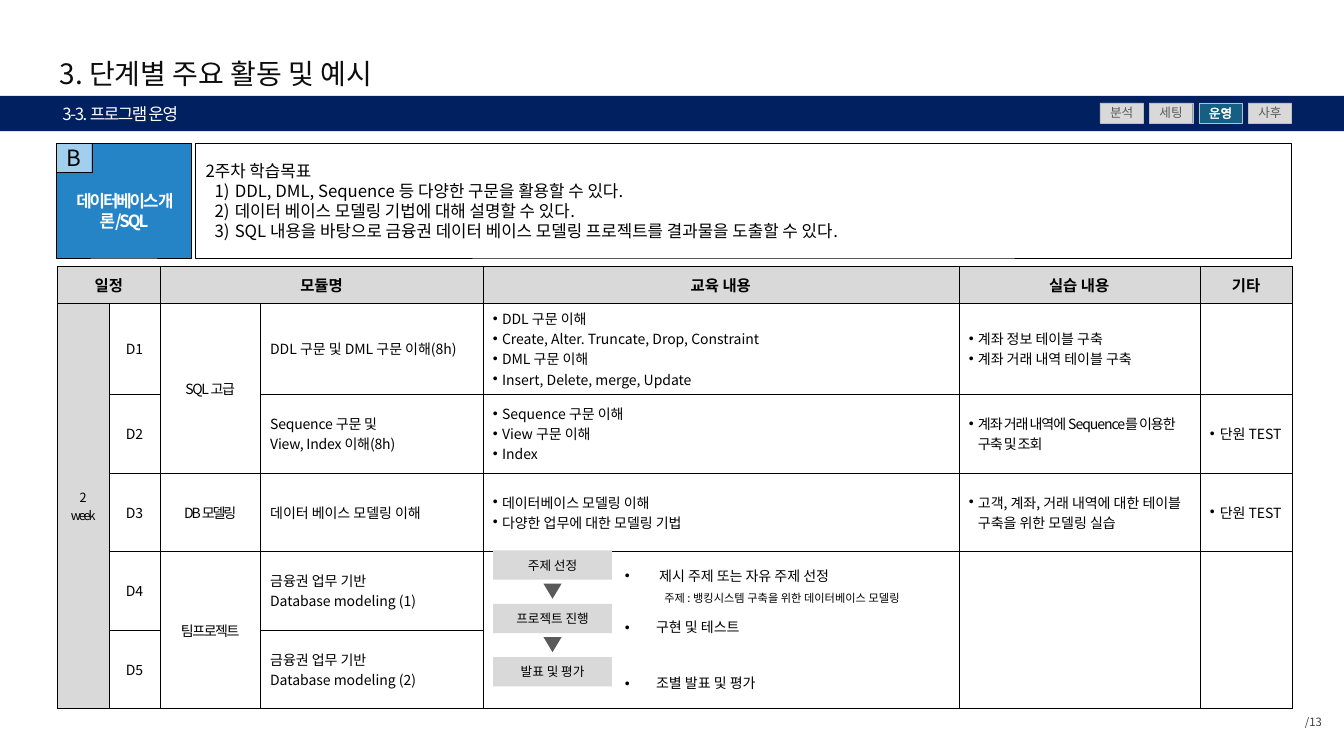
from dataclasses import dataclass, replace
from lxml import etree
from pptx import Presentation
from pptx.dml.color import RGBColor
from pptx.enum.shapes import MSO_SHAPE
from pptx.enum.text import MSO_ANCHOR, PP_ALIGN
from pptx.oxml.ns import qn
from pptx.util import Inches, Pt

FONT = "Noto Sans CJK KR"
LEFT, CENTER, RIGHT = PP_ALIGN.LEFT, PP_ALIGN.CENTER, PP_ALIGN.RIGHT
MIDDLE, TOP = MSO_ANCHOR.MIDDLE, MSO_ANCHOR.TOP
RECTANGLE, MERGE = MSO_SHAPE.RECTANGLE, MSO_SHAPE.FLOWCHART_MERGE
BLACK, WHITE, GRAY, DARK_GRAY = "000000", "FFFFFF", "D9D9D9", "595959"
BORDER_WIDTH = Pt(0.25)


@dataclass(frozen=True)
class Style:
    size: float
    color: str = BLACK
    align: PP_ALIGN = LEFT
    bold: bool = False
    spacing: float = 0
    margin: float = 0
    indent: float = 0
    bullet: str = ""
    outline: str = ""


@dataclass(frozen=True)
class Box:
    left: float
    top: float
    width: float
    height: float
    fill: str
    line: str = ""
    kind: MSO_SHAPE = RECTANGLE


@dataclass(frozen=True)
class Cell:
    row: int
    column: int
    lines: str
    style: Style
    rows: int = 1
    columns: int = 1


@dataclass(frozen=True)
class Note:
    text: str
    style: Style
    space_before: float = 0


def rgb(value: str) -> RGBColor:
    return RGBColor.from_string(value)


def add_solid_line(parent, tag: str, color: str) -> None:
    line = etree.Element(qn(tag), w=str(BORDER_WIDTH))
    fill = etree.SubElement(line, qn("a:solidFill"))
    etree.SubElement(fill, qn("a:srgbClr"), val=color)
    parent.append(line)


def format_paragraph(paragraph, style: Style) -> None:
    paragraph.alignment = style.align
    properties = paragraph._p.get_or_add_pPr()
    properties.set("marL", str(Inches(style.margin)))
    properties.set("indent", str(Inches(style.indent)))
    if style.bullet == "1)":
        etree.SubElement(properties, qn("a:buAutoNum"), type="arabicParenR")
    elif style.bullet:
        etree.SubElement(properties, qn("a:buFont"), typeface="Arial")
        etree.SubElement(properties, qn("a:buChar"), char=style.bullet)
    else:
        etree.SubElement(properties, qn("a:buNone"))
    for run in paragraph.runs:
        run_properties = run._r.get_or_add_rPr()
        if style.outline:
            add_solid_line(run_properties, "a:ln", style.outline)
        run.font.size = Pt(style.size)
        run.font.bold = style.bold
        run.font.color.rgb = rgb(style.color)
        run.font.name = FONT
        etree.SubElement(run_properties, qn("a:ea"), typeface=FONT)
        if style.spacing:
            run_properties.set("spc", str(round(style.spacing * 100)))


def write(text_frame, text: str, *styles: Style, wrap: bool = True, anchor: MSO_ANCHOR = MIDDLE) -> None:
    text_frame.text = text
    text_frame.word_wrap = wrap
    text_frame.vertical_anchor = anchor
    for index, paragraph in enumerate(text_frame.paragraphs):
        format_paragraph(paragraph, styles[min(index, len(styles) - 1)])


def add_box(slide, box: Box):
    shape = slide.shapes.add_shape(
        box.kind, Inches(box.left), Inches(box.top), Inches(box.width), Inches(box.height))
    shape.shadow.inherit = False
    shape.fill.solid()
    shape.fill.fore_color.rgb = rgb(box.fill)
    if box.line:
        shape.line.color.rgb = rgb(box.line)
        shape.line.width = BORDER_WIDTH
    else:
        shape.line.fill.background()
    return shape


HEADER = Style(11, align=CENTER, bold=True)
CENTERED = Style(10, align=CENTER)
TIGHT = replace(CENTERED, spacing=-1)
PLAIN = Style(10)
BULLET = Style(10, margin=0.09, indent=-0.09, bullet="•")
NUMBERED = Style(12, margin=0.29, indent=-0.2, bullet="1)")
NOTE = Style(10, margin=0.31, indent=-0.31, bullet="•")

COLUMN_WIDTHS = [0.51, 0.51, 0.99, 2.21, 4.72, 2.39, 0.92]
ROW_HEIGHTS = [0.37, 0.9, 0.78, 0.78, 0.78, 0.78]
CELLS = [
    Cell(0, 0, "일정", HEADER, columns=2),
    Cell(0, 2, "모듈명", HEADER, columns=2),
    Cell(0, 4, "교육 내용", HEADER),
    Cell(0, 5, "실습 내용", HEADER),
    Cell(0, 6, "기타", HEADER),
    Cell(1, 0, "2\nweek", Style(9, align=CENTER, spacing=-1.5), rows=5),
    *[Cell(day, 1, f"D{day}", CENTERED) for day in range(1, 6)],
    Cell(1, 2, "SQL 고급", TIGHT, rows=2),
    Cell(3, 2, "DB 모델링", replace(TIGHT, spacing=-1.5)),
    Cell(4, 2, "팀프로젝트", TIGHT, rows=2),
    Cell(1, 3, "DDL 구문 및 DML 구문 이해(8h)", PLAIN),
    Cell(2, 3, "Sequence 구문 및\nView, Index 이해(8h)", replace(PLAIN, spacing=-0.1)),
    Cell(3, 3, "데이터 베이스 모델링 이해", PLAIN),
    *[Cell(3 + part, 3, f"금융권 업무 기반\nDatabase modeling ({part})", PLAIN) for part in (1, 2)],
    Cell(1, 4, "DDL 구문 이해\nCreate, Alter. Truncate, Drop, Constraint\n"
               "DML 구문 이해\nInsert, Delete, merge, Update", BULLET),
    Cell(2, 4, "Sequence 구문 이해\nView 구문 이해\nIndex", BULLET),
    Cell(3, 4, "데이터베이스 모델링 이해\n다양한 업무에 대한 모델링 기법", BULLET),
    Cell(1, 5, "계좌 정보 테이블 구축\n계좌 거래 내역 테이블 구축", BULLET),
    Cell(2, 5, "계좌 거래 내역에 Sequence를 이용한 구축 및 조회", replace(BULLET, spacing=-0.7)),
    Cell(3, 5, "고객, 계좌, 거래 내역에 대한 테이블 구축을 위한 모델링 실습", BULLET),
    *[Cell(row, 6, "단원 TEST", replace(BULLET, margin=0.1, indent=-0.1)) for row in (2, 3)],
    *[Cell(4, column, "", PLAIN, rows=2) for column in (4, 5, 6)],
]
NOTES = [
    Note("제시 주제 또는 자유 주제 선정", replace(NOTE, margin=0.34, indent=-0.34)),
    Note("주제 : 뱅킹시스템 구축을 위한 데이터베이스 모델링", Style(8, margin=0.39), 1),
    Note("구현 및 테스트", NOTE, 8),
    Note("조별 발표 및 평가", NOTE, 26),
]


def add_heading(slide) -> None:
    title = slide.shapes.title
    title.left, title.top, title.width, title.height = map(Inches, (0.55, 0.49, 10.02, 0.47))
    frame = title.text_frame
    frame.margin_left = frame.margin_right = frame.margin_top = frame.margin_bottom = Inches(0.04)
    write(frame, "3. 단계별 주요 활동 및 예시", Style(20, "0D0D0D"), wrap=False)
    banner = add_box(slide, Box(0, 0.95, 13.33, 0.35, "002060"))
    banner.text_frame.margin_left = Inches(0.43)
    write(banner.text_frame, "3-3. 프로그램 운영", Style(12, WHITE, spacing=-1, margin=0.19))
    for index, stage in enumerate(["분석", "세팅", "운영", "사후"]):
        active = stage == "운영"
        chip = add_box(slide, Box(10.91 + 0.49 * index, 1.02, 0.43, 0.2,
                                  "156082" if active else GRAY, "BFBFBF"))
        style = Style(9, WHITE if active else DARK_GRAY, CENTER, outline=WHITE if active else "")
        write(chip.text_frame, stage, style, wrap=False)


def add_objectives(slide) -> None:
    subject = add_box(slide, Box(0.56, 1.42, 1.34, 1.14, "2484C6", BLACK))
    subject.text_frame.margin_top = Inches(0.25)
    write(subject.text_frame, "데이터베이스 개론/SQL", Style(12, WHITE, CENTER, True, -1.5))
    letter = add_box(slide, Box(0.56, 1.42, 0.35, 0.29, "A2CFEE", BLACK))
    write(letter.text_frame, "B", Style(16, align=CENTER))
    goals = add_box(slide, Box(1.94, 1.42, 10.87, 1.14, WHITE, BLACK))
    write(goals.text_frame, "2주차 학습목표\nDDL, DML, Sequence 등 다양한 구문을 활용할 수 있다.\n"
          "데이터 베이스 모델링 기법에 대해 설명할 수 있다.\n"
          "SQL 내용을 바탕으로 금융권 데이터 베이스 모델링 프로젝트를 결과물을 도출할 수 있다.",
          Style(12), NUMBERED)


def add_schedule(slide) -> None:
    table = slide.shapes.add_table(
        len(ROW_HEIGHTS), len(COLUMN_WIDTHS), Inches(0.57), Inches(2.64),
        Inches(sum(COLUMN_WIDTHS)), Inches(sum(ROW_HEIGHTS))).table
    table.first_row = table.horz_banding = False
    for column, width in zip(table.columns, COLUMN_WIDTHS):
        column.width = Inches(width)
    for row_index, (row, height) in enumerate(zip(table.rows, ROW_HEIGHTS)):
        row.height = Inches(height)
        for column_index, cell in enumerate(row.cells):
            for side in "LRTB":
                add_solid_line(cell._tc.get_or_add_tcPr(), f"a:ln{side}", BLACK)
            cell.fill.solid()
            cell.fill.fore_color.rgb = rgb(WHITE if row_index and column_index else GRAY)
    for item in CELLS:
        cell = table.cell(item.row, item.column)
        if item.rows * item.columns > 1:
            cell.merge(table.cell(item.row + item.rows - 1, item.column + item.columns - 1))
        cell.vertical_anchor = MIDDLE
        cell.text_frame.text = item.lines
        for paragraph in cell.text_frame.paragraphs:
            format_paragraph(paragraph, item.style)


def add_project_flow(slide) -> None:
    text_box = slide.shapes.add_textbox(Inches(6.1), Inches(5.55), Inches(3.93), Inches(1.34))
    write(text_box.text_frame, "\n".join(note.text for note in NOTES),
          *[note.style for note in NOTES], anchor=TOP)
    for paragraph, note in zip(text_box.text_frame.paragraphs, NOTES):
        paragraph.line_spacing = Pt(14)
        paragraph.space_before = Pt(note.space_before)
    steps = ["주제 선정", "프로젝트 진행", "발표 및 평가"]
    for index, step in enumerate(steps):
        top = 5.46 + 0.53 * index
        shape = add_box(slide, Box(4.89, top, 1.18, 0.29, GRAY))
        write(shape.text_frame, step, Style(9, align=CENTER))
        if index < len(steps) - 1:
            add_box(slide, Box(5.39, top + 0.33, 0.18, 0.15, DARK_GRAY, kind=MERGE))


def main() -> None:
    presentation = Presentation()
    presentation.slide_width, presentation.slide_height = Inches(13.33), Inches(7.5)
    slide = presentation.slides.add_slide(presentation.slide_layouts[5])
    add_heading(slide)
    add_objectives(slide)
    add_schedule(slide)
    add_project_flow(slide)
    page_total = slide.shapes.add_textbox(Inches(12.72), Inches(7.04), Inches(0.49), Inches(0.25))
    write(page_total.text_frame, "/13", Style(8.1, "404040", RIGHT), wrap=False)
    presentation.save("out.pptx")


if __name__ == "__main__":
    main()
